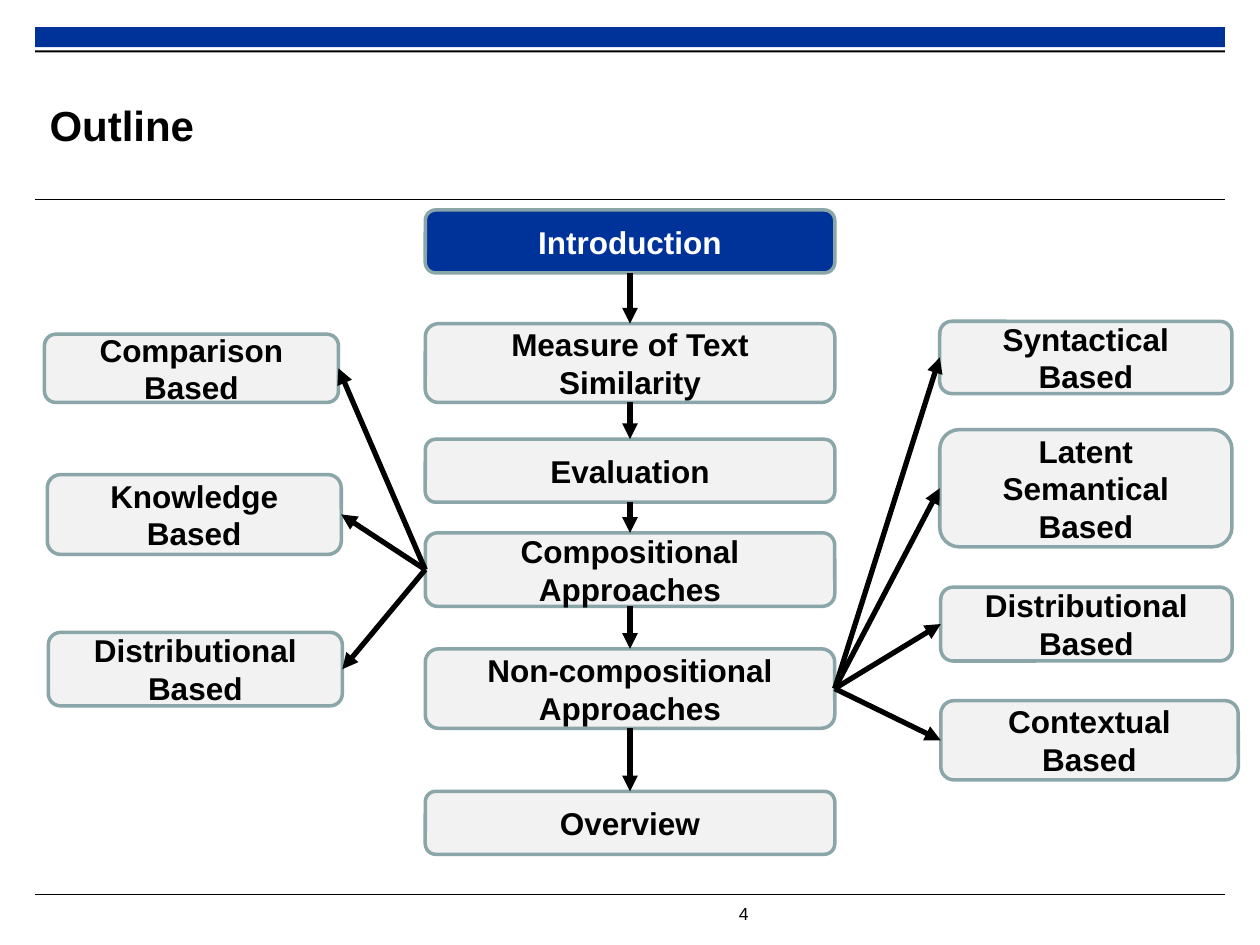
"""Build the outline slide: a central flow of topics with two fans of approaches."""
from itertools import pairwise

from lxml import etree
from pptx import Presentation
from pptx import util as u
from pptx.dml import color
from pptx.enum import shapes, text
from pptx.oxml import ns

TOP, LEFT, BOTTOM, RIGHT = range(4)


def rgb(value):
    return color.RGBColor.from_string(value)


def assign(target, values):
    for name, value in values.items():
        setattr(target, name, value)


def points(*values):
    return [u.Pt(value) for value in values]


class Sketch:
    blue, black, white = "003399", "000000", "FFFFFF"
    pale, edge = "F2F2F2", "8AA6A8"

    def __init__(self, deck):
        self.page = deck.slides.add_slide(deck.slide_layouts[5])

    def label(self, box, words, size, shade, bold, align, inset, anchor=text.MSO_ANCHOR.MIDDLE, wrap=True):
        frame = box.text_frame
        across, down = points(*inset)
        assign(frame, {
            "word_wrap": wrap, "auto_size": text.MSO_AUTO_SIZE.NONE, "vertical_anchor": anchor,
            "margin_left": across, "margin_right": across, "margin_top": down, "margin_bottom": down,
        })
        para = frame.paragraphs[0]
        para.alignment = align
        span = para.add_run()
        span.text = words
        assign(span.font, {"name": "Arial", "size": u.Pt(size), "bold": bold})
        span.font.color.rgb = rgb(shade)

    def title(self, words, *place):
        box = self.page.shapes.title
        assign(box, dict(zip(("left", "top", "width", "height"), points(*place))))
        self.label(box, words, 24, self.black, True, text.PP_ALIGN.LEFT, (0, 0))

    def number(self, words, *place):
        box = self.page.shapes.add_textbox(*points(*place))
        self.label(box, words, 10, self.black, False, text.PP_ALIGN.LEFT, (7.2, 3.6), text.MSO_ANCHOR.TOP, False)

    def shape(self, kind, fill, *place):
        box = self.page.shapes.add_shape(kind, *points(*place))
        box.shadow.inherit = False
        box.fill.solid()
        box.fill.fore_color.rgb = rgb(fill)
        return box

    def bar(self, fill, *place):
        self.shape(shapes.MSO_SHAPE.RECTANGLE, fill, *place).line.fill.background()

    def node(self, words, *place, fill=pale, shade=black):
        box = self.shape(shapes.MSO_SHAPE.ROUNDED_RECTANGLE, fill, *place)
        box.line.color.rgb = rgb(self.edge)
        box.line.width = u.Pt(2)
        self.label(box, words, 18, shade, True, text.PP_ALIGN.CENTER, (8, 3.6))
        return box

    def rule(self, *ends, width=0.6):
        line = self.page.shapes.add_connector(shapes.MSO_CONNECTOR.STRAIGHT, *points(*ends))
        line.line.color.rgb = rgb(self.black)
        line.line.width = u.Pt(width)
        etree.SubElement(line._element.spPr, ns.qn("a:effectLst"))
        return line

    def arrow(self, start, start_side, end, end_side):
        line = self.rule(0, 0, 0, 0, width=3)
        line.begin_connect(start, start_side)
        line.end_connect(end, end_side)
        outline = line._element.spPr.find(ns.qn("a:ln"))
        etree.SubElement(outline, ns.qn("a:tailEnd"), type="triangle")


def main():
    deck = Presentation()
    assign(deck, {"slide_width": u.Pt(720), "slide_height": u.Pt(540)})
    sketch = Sketch(deck)

    sketch.bar(sketch.blue, 20, 15.5, 680, 11.5)
    sketch.bar(sketch.black, 20, 28.8, 680, 1.2)
    for height in (114.2, 511):
        sketch.rule(20, height, 700, height)
    sketch.number("4", 415.2, 512.7, 34.5, 19.5)
    sketch.title("Outline", 28.3, 38.5, 512, 66)

    steps = [sketch.node("Introduction", 243, 120, 234, 36, fill=sketch.blue, shade=sketch.white)]
    for words, top, height in (
        ("Measure of Text Similarity", 185, 45),
        ("Evaluation", 251, 36),
        ("Compositional Approaches", 304.5, 42),
        ("Non-compositional Approaches", 370.8, 45.4),
        ("Overview", 452.2, 36),
    ):
        steps.append(sketch.node(words, 243, top, 234, height))
    for start, end in pairwise(steps):
        sketch.arrow(start, BOTTOM, end, TOP)

    compositional = (
        ("Comparison Based", 25.4, 191, 168, 39),
        ("Knowledge Based", 27, 271.2, 168, 45.6),
        ("Distributional Based", 27.6, 361.4, 168, 42),
    )
    other = (
        ("Syntactical Based", 537, 183.6, 167, 41.3),
        ("Latent Semantical Based", 537, 245.5, 167, 67),
        ("Distributional Based", 537.6, 335.5, 166.5, 42.2),
        ("Contextual Based", 537.6, 400.4, 170, 45.3),
    )
    for source, side, facing, branches in (
        (steps[3], LEFT, RIGHT, compositional),
        (steps[4], RIGHT, LEFT, other),
    ):
        for branch in branches:
            sketch.arrow(source, side, sketch.node(*branch), facing)

    deck.save("out.pptx")


if __name__ == "__main__":
    main()
